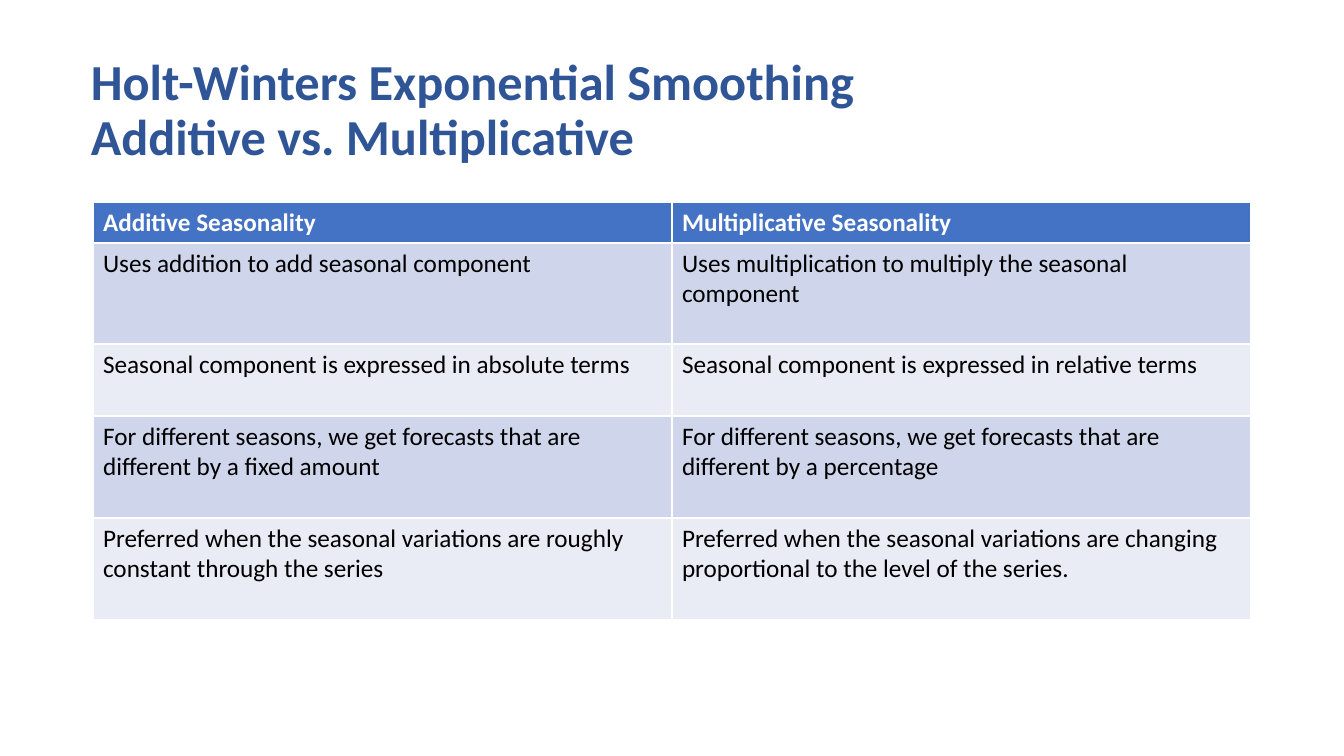
from dataclasses import dataclass

from pptx import Presentation, util as u
from pptx.dml.color import RGBColor
from pptx.enum import text

TITLE = "Holt-Winters Exponential Smoothing\vAdditive vs. Multiplicative"
COMPARISON = [
    ("Additive Seasonality", "Multiplicative Seasonality"),
    ("Uses addition to add seasonal component",
     "Uses multiplication to multiply the seasonal component"),
    ("Seasonal component is expressed in absolute terms",
     "Seasonal component is expressed in relative terms"),
    ("For different seasons, we get forecasts that are different by a fixed amount",
     "For different seasons, we get forecasts that are different by a percentage"),
    ("Preferred when the seasonal variations are roughly constant through the series",
     "Preferred when the seasonal variations are changing proportional to the level of the series."),
]

# Lengths in px
SLIDE = (1344, 756)
TITLE_BOX = (81, 48, 1105, 127)
TABLE_LEFT, TABLE_TOP = 93, 202
COLUMN_WIDTH = 579
ROW_HEIGHTS = [41, 101, 72, 102, 102]


@dataclass(frozen=True)
class Theme:
    font: str = "Calibri"
    title_size: int = 36
    cell_size: int = 18
    title: str = "2F5597"
    header_fill: str = "4472C4"
    header_text: str = "FFFFFF"
    body_text: str = "000000"
    bands: tuple = ("CFD5EA", "E9EBF5")


THEME = Theme()


def px(length):
    return u.Emu(round(length * 914400 / 100.8))


def style_runs(paragraph, size, color, bold):
    for run in paragraph.runs:
        run.font.name = THEME.font
        run.font.size = u.Pt(size)
        run.font.bold = bold
        run.font.color.rgb = RGBColor.from_string(color)


def add_title(slide):
    frame = slide.shapes.add_textbox(*map(px, TITLE_BOX)).text_frame
    frame.word_wrap = True
    frame.vertical_anchor = text.MSO_ANCHOR.MIDDLE
    heading = frame.paragraphs[0]
    heading.text = TITLE
    heading.line_spacing = 0.9
    style_runs(heading, THEME.title_size, THEME.title, True)


def add_comparison(slide):
    column_count = len(COMPARISON[0])
    table = slide.shapes.add_table(
        len(COMPARISON), column_count, px(TABLE_LEFT), px(TABLE_TOP),
        px(COLUMN_WIDTH * column_count), px(sum(ROW_HEIGHTS))).table
    for column in table.columns:
        column.width = px(COLUMN_WIDTH)
    for index, (row, height, entries) in enumerate(
            zip(table.rows, ROW_HEIGHTS, COMPARISON)):
        row.height = px(height)
        header = index == 0
        fill = THEME.header_fill if header else THEME.bands[(index - 1) % 2]
        color = THEME.header_text if header else THEME.body_text
        for cell, entry in zip(row.cells, entries):
            cell.fill.solid()
            cell.fill.fore_color.rgb = RGBColor.from_string(fill)
            cell.text_frame.text = entry
            style_runs(cell.text_frame.paragraphs[0], THEME.cell_size, color, header)


def main():
    deck = Presentation()
    deck.slide_width, deck.slide_height = map(px, SLIDE)
    slide = deck.slides.add_slide(deck.slide_layouts[6])
    add_title(slide)
    add_comparison(slide)
    deck.save("out.pptx")


if __name__ == "__main__":
    main()
